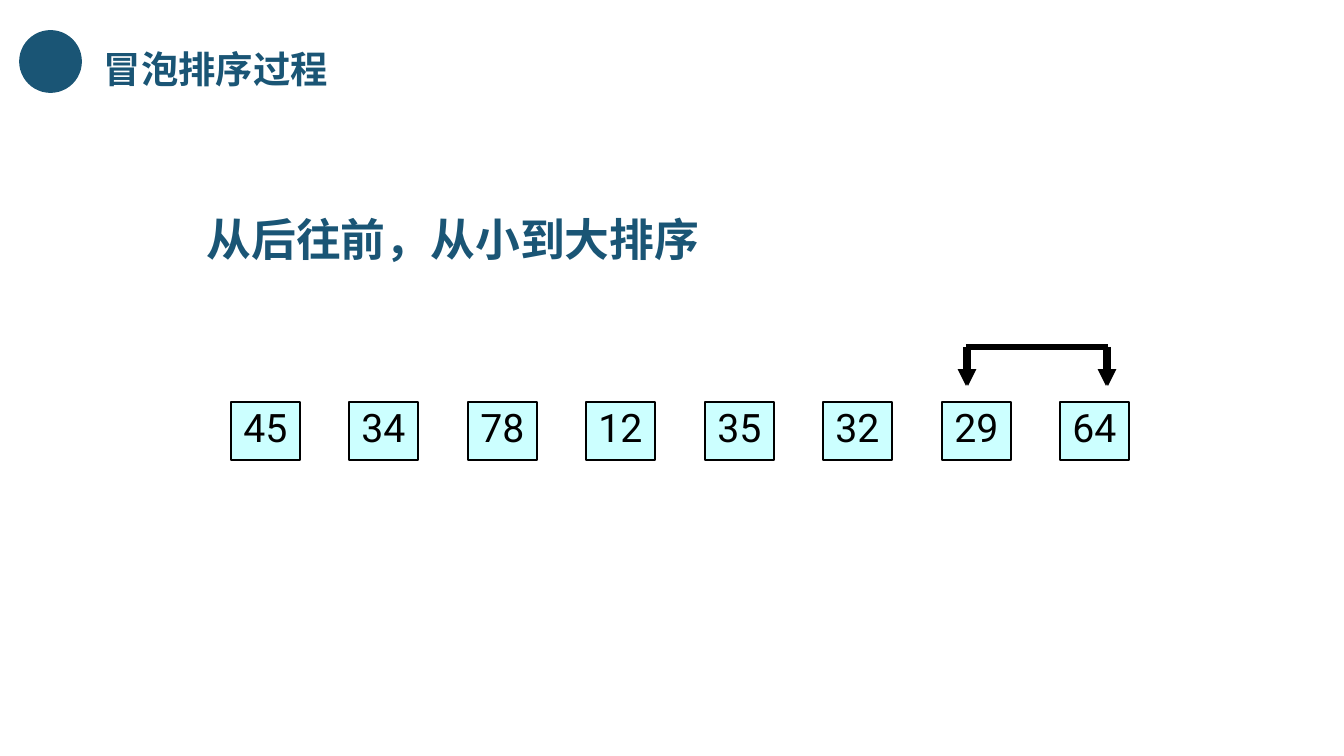
import dataclasses

import pptx
import pptx.dml.color
import pptx.enum.shapes
import pptx.enum.text
import pptx.oxml.ns
import pptx.util
from lxml import etree

SCALE = 914400 / 134.4  # EMU per px
HUES = {"navy": "1A5575", "ice": "CCFFFF", "black": "000000"}
HAN = "Noto Sans CJK SC"
KIND = pptx.enum.shapes.MSO_SHAPE


@dataclasses.dataclass
class Box:
    left: int
    top: int
    wide: int
    high: int

    def emu(self) -> list:
        return [px(n) for n in dataclasses.astuple(self)]


@dataclasses.dataclass
class Label:
    text: str
    box: Box
    size: int


@dataclasses.dataclass
class Hook:
    left: int
    right: int
    top: int
    tip: int


LABELS = [
    Label("冒泡排序过程", Box(83, 31, 266, 63), 20),
    Label("从后往前，从小到大排序", Box(167, 194, 572, 79), 24),
]
VALUES = [45, 34, 78, 12, 35, 32, 29, 64]
FIRST, LAST = 231, 1060  # left edges of the outer cells
HOOKS = [Hook(966, 1106, 347, 386), Hook(968, 1108, 347, 386)]


def px(num: float) -> int:
    return round(num * SCALE)


def hue(name: str) -> pptx.dml.color.RGBColor:
    return pptx.dml.color.RGBColor.from_string(HUES[name])


def write(frame, text: str, *, size: int, font: str, color: str,
          bold: bool = False, space: float = 1.0, before: float = 0) -> None:
    para = frame.paragraphs[0]
    para.alignment = pptx.enum.text.PP_ALIGN.CENTER
    para.line_spacing = space
    para.space_before = pptx.util.Pt(before)
    run = para.add_run()
    run.text = text
    run.font.size = pptx.util.Pt(size)
    run.font.bold = bold
    run.font.name = font
    run.font.color.rgb = hue(color)
    # East Asian glyphs use their own font slot
    props = run._r.get_or_add_rPr()
    etree.SubElement(props, pptx.oxml.ns.qn("a:ea")).set("typeface", font)


def shape(slide, kind, box: Box, fill: str, edge: str, width: float):
    item = slide.shapes.add_shape(kind, *box.emu())
    item.shadow.inherit = False
    item.fill.solid()
    item.fill.fore_color.rgb = hue(fill)
    item.line.color.rgb = hue(edge)
    item.line.width = pptx.util.Pt(width)
    return item


def cell(slide, value: int, left: int) -> None:
    item = shape(slide, KIND.RECTANGLE, Box(left, 402, 69, 58),
                 "ice", "black", 0.75)
    frame = item.text_frame
    frame.word_wrap = False
    frame.vertical_anchor = pptx.enum.text.MSO_ANCHOR.MIDDLE
    frame.margin_left = frame.margin_right = px(10)
    frame.margin_top = frame.margin_bottom = px(5)
    write(frame, str(value), size=21, font="Roboto", color="black",
          space=0.8, before=4.2)


def line(slide, start: tuple, end: tuple, arrow: bool = False) -> None:
    ends = [px(n) for n in (*start, *end)]
    item = slide.shapes.add_connector(
        pptx.enum.shapes.MSO_CONNECTOR.STRAIGHT, *ends)
    item.line.color.rgb = hue("black")
    item.line.width = pptx.util.Pt(3)
    props = item._element.spPr
    if arrow:
        tail = etree.SubElement(item.line._get_or_add_ln(),
                                pptx.oxml.ns.qn("a:tailEnd"))
        tail.set("type", "triangle")
    etree.SubElement(props, pptx.oxml.ns.qn("a:effectLst"))


def swap(slide, hook: Hook) -> None:
    line(slide, (hook.left, hook.top), (hook.right, hook.top))
    for side in (hook.left, hook.right):
        line(slide, (side, hook.top), (side, hook.tip), arrow=True)


def label(slide, item: Label) -> None:
    frame = slide.shapes.add_textbox(*item.box.emu()).text_frame
    frame.word_wrap = True
    frame.auto_size = pptx.enum.text.MSO_AUTO_SIZE.SHAPE_TO_FIT_TEXT
    write(frame, item.text, size=item.size, font=HAN, color="navy",
          bold=True, space=1.2)


def main() -> None:
    deck = pptx.Presentation()
    deck.slide_width, deck.slide_height = px(1344), px(756)
    slide = deck.slides.add_slide(deck.slide_layouts[6])

    # Row of numbers
    step = (LAST - FIRST) / (len(VALUES) - 1)
    for spot, value in enumerate(VALUES):
        cell(slide, value, round(FIRST + spot * step))

    # Arrows over the pair being compared
    for hook in HOOKS:
        swap(slide, hook)

    # Headings and dot
    for item in LABELS:
        label(slide, item)
    shape(slide, KIND.OVAL, Box(21, 32, 59, 59), "navy", "navy", 2)

    deck.save("out.pptx")


if __name__ == "__main__":
    main()
